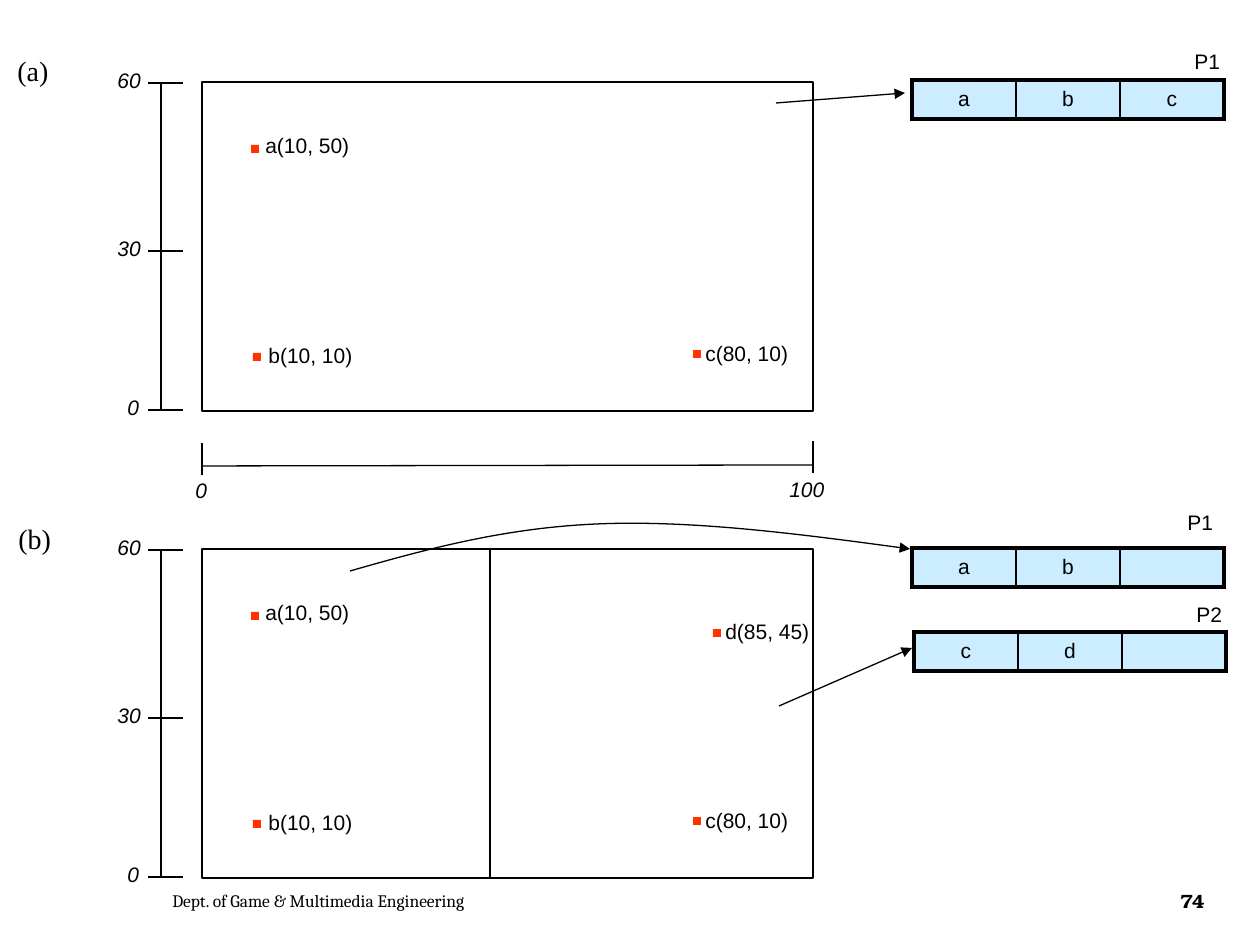
"""Builds a slide that shows a grid partition before and after a split."""
from dataclasses import dataclass

from lxml import etree
from pptx import Presentation
from pptx.dml.color import RGBColor
from pptx.enum.shapes import MSO_CONNECTOR, MSO_SHAPE
from pptx.enum.text import MSO_ANCHOR, MSO_AUTO_SIZE, PP_ALIGN
from pptx.oxml.ns import qn
from pptx.util import Pt

RECTANGLE = MSO_SHAPE.RECTANGLE
STRAIGHT = MSO_CONNECTOR.STRAIGHT
CENTER = PP_ALIGN.CENTER
MIDDLE = MSO_ANCHOR.MIDDLE
FIT = MSO_AUTO_SIZE.SHAPE_TO_FIT_TEXT

SCALE = 914400 / 126
PAGE_WIDTH, PAGE_HEIGHT = 1260, 945
BOX_LEFT, BOX_WIDTH, BOX_HEIGHT = 202, 611, 329
BOX_RIGHT = BOX_LEFT + BOX_WIDTH
TOP_A, TOP_B = 82, 549
LABEL_HEIGHT = 38
CELL_WIDTH, CELL_HEIGHT = 104, 39
POINT_SIZE = 8

AXIS_X = 161
AXIS_MARKS = [("60", 105, 1), ("30", 105, 169), ("0", 115, 328)]
SHARED_POINTS = [
    ("a(10, 50)", 251, 63, 2, -19),
    ("b(10, 10)", 253, 271, 3, -17),
    ("c(80, 10)", 693, 268, 0, -16),
]
ADDED_POINT = ("d(85, 45)", 713, 80, 0, -17)
CURVE = [(350, 571), (427, 549), (504, 528), (597, 524),
         (690, 520), (800, 534), (910, 549)]


@dataclass(frozen=True)
class Theme:
    """Colours, fonts and sizes of the slide."""
    ink: RGBColor = RGBColor(0x00, 0x00, 0x00)
    point: RGBColor = RGBColor(0xFF, 0x33, 0x00)
    cell: RGBColor = RGBColor(0xCC, 0xEC, 0xFF)
    sans: str = "Arial"
    serif: str = "Times New Roman"
    footer: str = "Cambria"
    number: str = "TeX Gyre Bonum"
    label_size: float = 12
    panel_size: float = 16
    footer_size: float = 10
    number_size: float = 11
    thin: float = 0.75
    inner: float = 1
    outer: float = 2.25


def emu(*lengths):
    """Turns px lengths into EMU."""
    return [round(length * SCALE) for length in lengths]


def apply(target, values):
    """Sets each named value on the target."""
    for name, value in values.items():
        setattr(target, name, value)


class Sketch:
    """Draws styled elements on the current slide."""

    def __init__(self, page, theme):
        """Keeps the slide and its style."""
        self.page = page
        self.theme = theme

    def format_span(self, span, size=None, name=None, **extra):
        """Formats one run of text."""
        size = Pt(size or self.theme.label_size)
        apply(span.font, {"size": size, "name": name or self.theme.sans, **extra})
        span.font.color.rgb = self.theme.ink

    def text(self, words, left, top, width, height=LABEL_HEIGHT, frame=None,
             align=None, **font):
        """Adds a text box and returns its span."""
        box = self.page.shapes.add_textbox(*emu(left, top, width, height))
        apply(box.text_frame, frame or {"word_wrap": False, "auto_size": FIT})
        para = box.text_frame.paragraphs[0]
        para.alignment = align
        span = para.add_run()
        span.text = words
        self.format_span(span, **font)
        return span

    def stroke(self, shape, arrow=False):
        """Gives a shape the thin line, with an arrowhead if wanted."""
        shape.line.color.rgb = self.theme.ink
        shape.line.width = Pt(self.theme.thin)
        if arrow:
            etree.SubElement(shape.get_or_add_ln(), qn("a:tailEnd"), type="triangle")

    def line(self, x1, y1, x2, y2, arrow=False):
        """Adds a straight line."""
        connector = self.page.shapes.add_connector(STRAIGHT, *emu(x1, y1, x2, y2))
        self.stroke(connector, arrow)
        etree.SubElement(connector._element.spPr, qn("a:effectLst"))

    def rectangle(self, left, top, width, height, fill=None):
        """Adds a filled rectangle or an outlined one."""
        shape = self.page.shapes.add_shape(RECTANGLE, *emu(left, top, width, height))
        shape.shadow.inherit = False
        if fill is None:
            shape.fill.background()
            self.stroke(shape)
        else:
            shape.fill.solid()
            shape.fill.fore_color.rgb = fill
            shape.line.fill.background()

    def point(self, top, words, left, down, shift, lift):
        """Adds a data point with its label."""
        self.rectangle(left, top + down, POINT_SIZE, POINT_SIZE, self.theme.point)
        self.text(words, left + shift, top + down + lift, 112)

    def curve(self, points):
        """Adds a curved arrow through cubic segments."""
        (start_x, start_y), *rest = points
        builder = self.page.shapes.build_freeform(start_x, start_y, SCALE)
        builder.add_line_segments(rest, close=False)
        shape = builder.convert_to_shape()
        shape.shadow.inherit = False
        shape.fill.background()
        self.stroke(shape, arrow=True)
        outline = shape._element.find(".//" + qn("a:path"))
        steps = outline.findall(qn("a:lnTo"))
        for first in range(0, len(steps), 3):
            bend = etree.SubElement(outline, qn("a:cubicBezTo"))
            for step in steps[first:first + 3]:
                bend.append(step[0])
                outline.remove(step)

    def border(self, cell, side, width):
        """Draws one side of a table cell."""
        edge = etree.SubElement(cell._tc.get_or_add_tcPr(), qn("a:ln" + side),
                                w=str(Pt(width)))
        fill = etree.SubElement(edge, qn("a:solidFill"))
        etree.SubElement(fill, qn("a:srgbClr"), val=str(self.theme.ink))

    def bucket(self, left, top, entries, name, name_left, name_top):
        """Adds a named page bucket as a one-row table."""
        theme, count = self.theme, len(entries)
        place = emu(left, top, CELL_WIDTH * count, CELL_HEIGHT)
        table = self.page.shapes.add_table(1, count, *place).table
        apply(table, {"first_row": False, "horz_banding": False})
        for column, entry in enumerate(entries):
            cell = table.cell(0, column)
            sides = {"L": theme.inner if column else theme.outer,
                     "R": theme.inner if column < count - 1 else theme.outer,
                     "T": theme.outer, "B": theme.outer}
            for side, width in sides.items():
                self.border(cell, side, width)
            cell.fill.solid()
            cell.fill.fore_color.rgb = theme.cell
            cell.vertical_anchor = MIDDLE
            para = cell.text_frame.paragraphs[0]
            para.alignment = CENTER
            if entry:
                span = para.add_run()
                span.text = entry
                self.format_span(span)
            else:
                etree.SubElement(para._p, qn("a:endParaRPr"),
                                 sz=str(round(theme.label_size * 100)))
        self.text(name, name_left, name_top, 54)

    def panel(self, top, points):
        """Adds the space, its vertical axis and its points."""
        self.rectangle(BOX_LEFT, top, BOX_WIDTH, BOX_HEIGHT)
        self.line(AXIS_X, top, AXIS_X, top + BOX_HEIGHT)
        for words, left, down in AXIS_MARKS:
            self.line(148, top + down, 183, top + down)
            self.text(words, left, top + down - 22, 52 if len(words) > 1 else 40,
                      italic=True)
        for point in points:
            self.point(top, *point)


def main():
    """Builds and saves the deck."""
    theme = Theme()
    deck = Presentation()
    deck.slide_width, deck.slide_height = emu(PAGE_WIDTH, PAGE_HEIGHT)
    sketch = Sketch(deck.slides.add_slide(deck.slide_layouts[6]), theme)

    sketch.panel(TOP_A, SHARED_POINTS)
    sketch.line(BOX_LEFT, 466, BOX_RIGHT, 465)
    for x, top in ((BOX_LEFT, 443), (BOX_RIGHT, 441)):
        sketch.line(x, top, x, top + 32)
    sketch.text("0", 183, 471, 40, italic=True)
    sketch.text("100", 777, 470, 64, italic=True)
    sketch.bucket(912, 80, ["a", "b", "c"], "P1", 1182, 42)
    sketch.line(776, 103, 905, 93, arrow=True)

    sketch.panel(TOP_B, [*SHARED_POINTS, ADDED_POINT])
    sketch.line(490, TOP_B, 490, TOP_B + BOX_HEIGHT)
    sketch.bucket(912, 548, ["a", "b", ""], "P1", 1175, 503)
    sketch.bucket(914, 632, ["c", "d", ""], "P2", 1184, 595)
    sketch.curve(CURVE)
    sketch.line(779, 706, 912, 648, arrow=True)

    for words, left, top in (("(a)", 5, 47), ("(b)", 6, 515)):
        sketch.text(words, left, top, 62, 47, name=theme.serif, size=theme.panel_size)
    footer = {"word_wrap": True, "vertical_anchor": MIDDLE}
    sketch.text("Dept. of Game & Multimedia Engineering", 160, 876, 578, 50, footer,
                name=theme.footer, size=theme.footer_size)
    number = sketch.text("74", 1159, 876, 67, 50, footer, CENTER, bold=True,
                         name=theme.number, size=theme.number_size)
    number.font._element.set("spc", "-70")
    deck.save("out.pptx")


if __name__ == "__main__":
    main()
